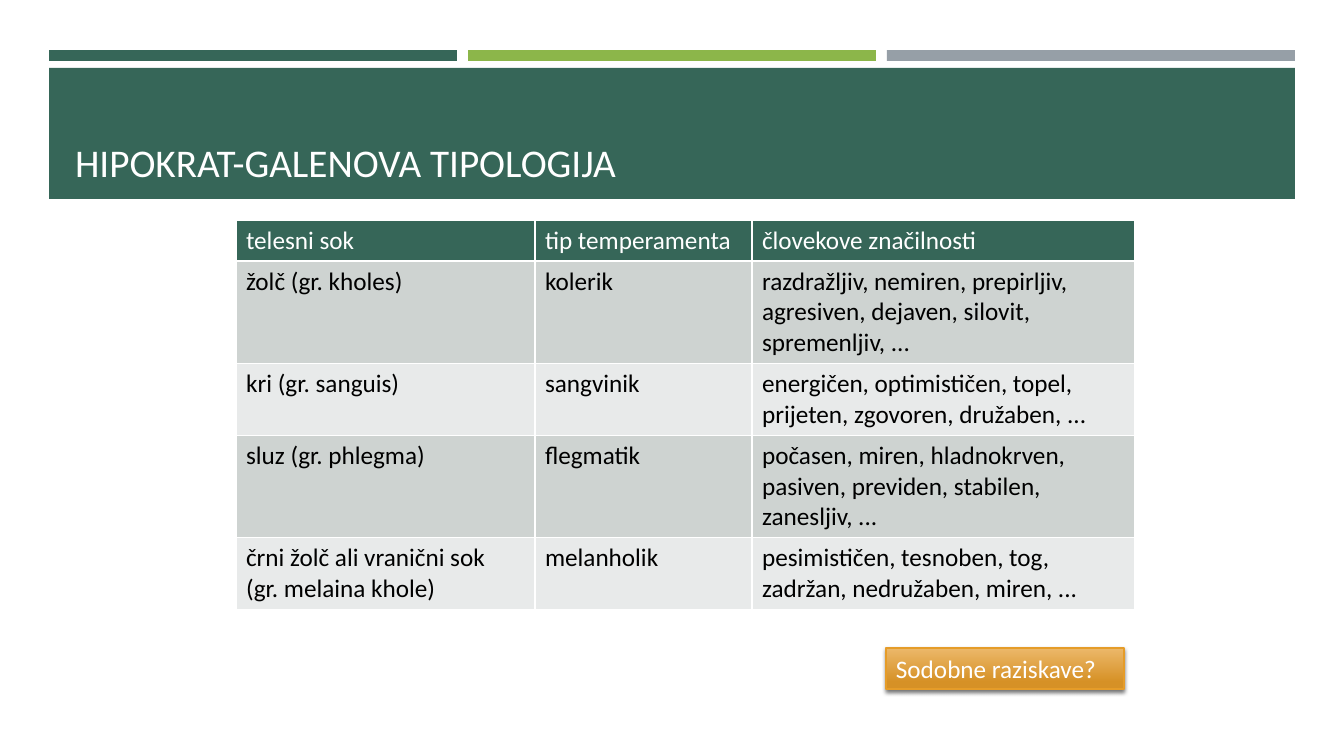
from typing import NamedTuple

from lxml.etree import SubElement
from pptx import Presentation
from pptx.dml.color import RGBColor
from pptx.enum.shapes import MSO_SHAPE
from pptx.enum.text import MSO_ANCHOR, PP_ALIGN
from pptx.oxml.ns import qn
from pptx.util import Emu, Pt

SLIDE_WIDTH, SLIDE_HEIGHT = 1344, 756
EMU_PER_PX = 12192000 / SLIDE_WIDTH
FONT = "Calibri"
GREEN, LIME, GREY, WHITE, BLACK = "366658", "8CB64A", "969FA7", "FFFFFF", "000000"
ROW_SHADES = ("CED3D1", "E8EAEA")


class Bar(NamedTuple):
    left: int
    top: int
    width: int
    height: int
    color: str


class Temperament(NamedTuple):
    humour: str
    kind: str
    traits: str


BARS = [Bar(49 + 419 * i, 50, 408, 11, color) for i, color in enumerate((GREEN, LIME, GREY))]
TITLE_BAND = Bar(49, 68, 1246, 131, GREEN)

HEADINGS = Temperament("telesni sok", "tip temperamenta", "človekove značilnosti")
TEMPERAMENTS = [
    Temperament("žolč (gr. kholes)", "kolerik",
                "razdražljiv, nemiren, prepirljiv, agresiven, dejaven, silovit, spremenljiv, ..."),
    Temperament("kri (gr. sanguis)", "sangvinik",
                "energičen, optimističen, topel, prijeten, zgovoren, družaben, ..."),
    Temperament("sluz (gr. phlegma)", "flegmatik",
                "počasen, miren, hladnokrven, pasiven, previden, stabilen, zanesljiv, ..."),
    Temperament("črni žolč ali vranični sok\n(gr. melaina khole)", "melanholik",
                "pesimističen, tesnoben, tog, zadržan, nedružaben, miren, ..."),
]
COLUMN_WIDTHS = (299, 217, 383)
ROW_HEIGHTS = (41, 102, 72, 102, 72)


def px(length: int) -> Emu:
    return Emu(round(length * EMU_PER_PX))


def rgb(color: str) -> RGBColor:
    return RGBColor.from_string(color)


def write(frame, text: str, size: int, color: str) -> None:
    frame.text = text
    frame.word_wrap = True
    for paragraph in frame.paragraphs:
        paragraph.alignment = PP_ALIGN.LEFT
        paragraph.font.name = FONT
        paragraph.font.size = Pt(size)
        paragraph.font.color.rgb = rgb(color)


def draw_bar(slide, bar: Bar) -> None:
    shape = slide.shapes.add_shape(MSO_SHAPE.RECTANGLE, *map(px, bar[:4]))
    shape.shadow.inherit = False
    shape.fill.solid()
    shape.fill.fore_color.rgb = rgb(bar.color)
    shape.line.fill.background()


def draw_title(slide, text: str) -> None:
    title = slide.shapes.title
    title.left, title.top, title.width, title.height = map(px, (65, 78, 1216, 112))
    write(title.text_frame, text, 28, WHITE)
    title.text_frame.vertical_anchor = MSO_ANCHOR.BOTTOM
    # The placeholder comes first in the tree, so lift it above the band.
    title.element.getparent().append(title.element)


def outline_cell(cell, color: str) -> None:
    properties = cell._tc.get_or_add_tcPr()
    for position, side in enumerate(("a:lnL", "a:lnR", "a:lnT", "a:lnB")):
        border = SubElement(properties, qn(side), w=str(Pt(1)))
        SubElement(SubElement(border, qn("a:solidFill")), qn("a:srgbClr"), val=color)
        properties.insert(position, border)


def draw_table(slide) -> None:
    rows = [HEADINGS, *TEMPERAMENTS]
    table = slide.shapes.add_table(
        len(rows), len(COLUMN_WIDTHS), px(236), px(220),
        px(sum(COLUMN_WIDTHS)), px(sum(ROW_HEIGHTS))).table
    for column, width in zip(table.columns, COLUMN_WIDTHS):
        column.width = px(width)
    for index, (row, height, texts) in enumerate(zip(table.rows, ROW_HEIGHTS, rows)):
        row.height = px(height)
        for cell, text in zip(row.cells, texts):
            write(cell.text_frame, text, 18, BLACK if index else WHITE)
            cell.fill.solid()
            cell.fill.fore_color.rgb = rgb(ROW_SHADES[(index - 1) % 2] if index else GREEN)
            outline_cell(cell, WHITE)


def draw_question(slide, text: str) -> None:
    question = slide.shapes.add_shape(MSO_SHAPE.RECTANGLE, *map(px, (886, 648, 238, 41)))
    question.fill.gradient()
    question.fill.gradient_angle = 270
    for stop, position, color in zip(question.fill.gradient_stops, (0, 0.84), ("ECB86A", "D69126")):
        stop.position = position
        stop.color.rgb = rgb(color)
    question.line.color.rgb = rgb("E59C29")
    question.line.width = Pt(1)
    question.shadow.inherit = False
    effects = question.element.spPr.find(qn("a:effectLst"))
    shadow = SubElement(effects, qn("a:outerShdw"), blurRad=str(Pt(3)), dist=str(Pt(2)),
                        dir="5400000", algn="ctr", rotWithShape="0")
    shade = SubElement(shadow, qn("a:srgbClr"), val=BLACK)
    SubElement(shade, qn("a:alpha"), val="55000")
    write(question.text_frame, text, 18, WHITE)


def main() -> None:
    presentation = Presentation()
    presentation.slide_width, presentation.slide_height = px(SLIDE_WIDTH), px(SLIDE_HEIGHT)
    slide = presentation.slides.add_slide(presentation.slide_layouts.get_by_name("Title Only"))
    for bar in [*BARS, TITLE_BAND]:
        draw_bar(slide, bar)
    draw_title(slide, "HIPOKRAT-GALENOVA TIPOLOGIJA")
    draw_table(slide)
    draw_question(slide, "Sodobne raziskave?")
    presentation.save("out.pptx")


if __name__ == "__main__":
    main()
